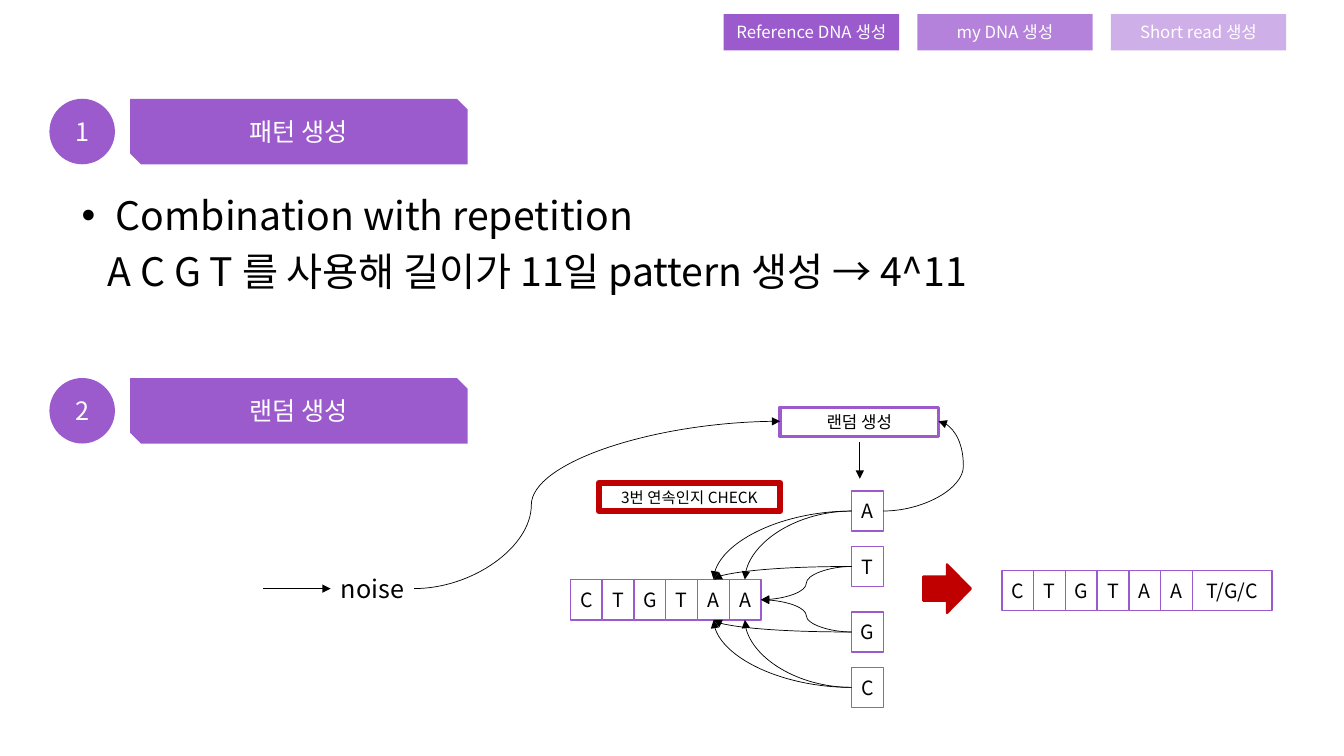
"""Build the slide on pattern generation and random generation of a reference DNA."""
from dataclasses import dataclass
from typing import Any, Optional

import lxml.etree
import pptx
import pptx.dml.color
import pptx.enum.shapes
import pptx.enum.text
import pptx.oxml.ns
import pptx.util

SHAPE = pptx.enum.shapes.MSO_SHAPE
CONNECTOR = pptx.enum.shapes.MSO_CONNECTOR
ALIGN = pptx.enum.text.PP_ALIGN
ANCHOR = pptx.enum.text.MSO_ANCHOR
FONT = "Noto Sans CJK KR"
COLORS = {
    "purple": "9C5BCD",
    "mid": "B482DA",
    "pale": "CFAFE7",
    "red": "C00000",
    "black": "000000",
    "white": "FFFFFF",
}
COLUMNS, ROWS = 133.33, 75
CELL_W, CELL_H = 3.15, 4


@dataclass(frozen=True)
class Block:
    """A shape placed in grid columns and rows, with its text and colours."""

    column: float
    row: float
    width: float
    height: float
    text: str = ""
    size: float = 14
    fill: Optional[str] = None
    line: Optional[str] = None
    weight: float = 1
    ink: str = "black"
    outline: Any = SHAPE.RECTANGLE


@dataclass(frozen=True)
class Flow:
    """An arrow between two grid points; bend sets the middle of an S curve."""

    start: tuple[float, float]
    end: tuple[float, float]
    preset: str = "line"
    bend: Optional[float] = None
    arrow: bool = True


def grid(units: float) -> int:
    """Turn grid units into a slide length."""
    return pptx.util.Inches(units / 10)


def rgb(name: str) -> pptx.dml.color.RGBColor:
    """Look up a colour by name."""
    return pptx.dml.color.RGBColor.from_string(COLORS[name])


def add_node(parent: Any, tag: str, **attributes: str) -> Any:
    """Append a DrawingML element."""
    node = lxml.etree.SubElement(parent, pptx.oxml.ns.qn(tag))
    for key, value in attributes.items():
        node.set(key, value)
    return node


def add_run(paragraph: Any, text: str, size: float, ink: str) -> None:
    """Add a formatted run to a paragraph."""
    run = paragraph.add_run()
    run.text = text
    run.font.size = pptx.util.Pt(size)
    run.font.name = FONT
    run.font.color.rgb = rgb(ink)
    add_node(run.font._element, "a:ea", typeface=FONT)


def draw_block(shapes: Any, block: Block) -> None:
    """Draw one shape with centred text."""
    shape = shapes.add_shape(block.outline, grid(block.column), grid(block.row),
                             grid(block.width), grid(block.height))
    shape.shadow.inherit = False
    if block.fill:
        shape.fill.solid()
        shape.fill.fore_color.rgb = rgb(block.fill)
    else:
        shape.fill.background()
    if block.line:
        shape.line.color.rgb = rgb(block.line)
        shape.line.width = pptx.util.Pt(block.weight)
    else:
        shape.line.fill.background()
    if block.text:
        frame = shape.text_frame
        frame.margin_left = frame.margin_right = frame.margin_top = frame.margin_bottom = 0
        frame.word_wrap = True
        frame.vertical_anchor = ANCHOR.MIDDLE
        frame.paragraphs[0].alignment = ALIGN.CENTER
        add_run(frame.paragraphs[0], block.text, block.size, block.ink)


def draw_flow(shapes: Any, flow: Flow) -> None:
    """Draw one straight or curved arrow."""
    points = [grid(value) for value in (*flow.start, *flow.end)]
    connector = shapes.add_connector(CONNECTOR.STRAIGHT, *points)
    connector.line.color.rgb = rgb("black")
    connector.line.width = pptx.util.Pt(0.5)
    properties = connector._element.spPr
    geometry = properties.find(pptx.oxml.ns.qn("a:prstGeom"))
    geometry.set("prst", flow.preset)
    if flow.bend is not None:
        adjustments = geometry.find(pptx.oxml.ns.qn("a:avLst"))
        add_node(adjustments, "a:gd", name="adj1", fmla=f"val {round(flow.bend * 100000)}")
    add_node(properties.find(pptx.oxml.ns.qn("a:ln")), "a:tailEnd", type="triangle")
    add_node(properties, "a:effectLst")


def draw_section(shapes: Any, row: float, number: str, heading: str) -> None:
    """Draw a numbered section heading as a group."""
    section = shapes.add_group_shape().shapes
    draw_block(section, Block(4.9, row, 6.5, 6.5, number, 18, "purple", ink="white",
                              outline=SHAPE.OVAL))
    draw_block(section, Block(12.9, row, 33.5, 6.5, heading, 18, "purple", ink="white",
                              outline=SHAPE.SNIP_2_DIAG_RECTANGLE))


def draw_sequence(shapes: Any, column: float, row: float, bases: str) -> None:
    """Draw a row of touching base cells."""
    for index, base in enumerate(bases):
        draw_block(shapes, Block(column + index * CELL_W, row, CELL_W, CELL_H, base,
                                 fill="white", line="purple"))


def write_explanation(body: Any) -> None:
    """Place the body placeholder and write its two lines."""
    body.left, body.top, body.width, body.height = (grid(v) for v in (7.1, 19, 111.5, 11))
    frame = body.text_frame
    frame.auto_size = pptx.enum.text.MSO_AUTO_SIZE.NONE
    frame.word_wrap = True
    frame.vertical_anchor = ANCHOR.TOP
    lines = [
        ("Combination with repetition", 3.4, -3.4, "•", 0),
        ("A C G T 를 사용해 길이가 11일 pattern 생성 → 4^11", 2.6, 0, None, 10),
    ]
    for index, (text, margin, indent, bullet, before) in enumerate(lines):
        paragraph = frame.add_paragraph() if index else frame.paragraphs[0]
        properties = paragraph._p.get_or_add_pPr()
        properties.set("marL", str(grid(margin)))
        properties.set("indent", str(grid(indent)))
        if bullet:
            add_node(properties, "a:buFont", typeface="Arial")
            add_node(properties, "a:buChar", char=bullet)
        else:
            add_node(properties, "a:buNone")
        paragraph.line_spacing = 0.9
        paragraph.space_before = pptx.util.Pt(before)
        add_run(paragraph, text, 28, "black")


def main() -> None:
    """Assemble and save the slide."""
    deck = pptx.Presentation()
    deck.slide_width, deck.slide_height = grid(COLUMNS), grid(ROWS)
    slide = deck.slides.add_slide(deck.slide_layouts[1])
    shapes = slide.shapes
    unused_title = shapes.title._element
    unused_title.getparent().remove(unused_title)
    write_explanation(slide.placeholders[1])

    steps = [("Reference DNA 생성", "purple"), ("my DNA 생성", "mid"), ("Short read 생성", "pale")]
    for index, (step, fill) in enumerate(steps):
        draw_block(shapes, Block(71.8 + 19.2 * index, 1.4, 17.4, 3.6, step, 12, fill, ink="white"))
    draw_section(shapes, 9.8, "1", "패턴 생성")
    draw_section(shapes, 37.5, "2", "랜덤 생성")

    draw_sequence(shapes, 56.6, 57.5, "CTGTAA")
    draw_sequence(shapes, 99.4, 56.6, "CTGTAA")
    fifth_top, sixth_top = (70.8, 57.5), (73.9, 57.5)
    fifth_bottom, sixth_bottom = (70.8, 61.5), (73.9, 61.5)
    sequence_end = (75.5, 59.5)
    candidates = [
        ("A", 48.7, (fifth_top, sixth_top)),
        ("T", 54.2, (sequence_end, fifth_top)),
        ("G", 60.7, (sequence_end, fifth_bottom)),
        ("C", 66.2, (sixth_bottom, fifth_bottom)),
    ]
    for base, row, targets in candidates:
        draw_block(shapes, Block(84.5, row, CELL_W, CELL_H, base, fill="white", line="purple"))
        for target in targets:
            sideways = target == sequence_end
            draw_flow(shapes, Flow((84.5, row + CELL_H / 2), target,
                                   "curvedConnector3" if sideways else "curvedConnector2",
                                   0.5 if sideways else None))

    for block in (
        Block(118.3, 56.6, 7.9, CELL_H, "T/G/C", fill="white", line="purple"),
        Block(91.6, 56, 4.7, 4.8, fill="red", line="red", weight=1.75, outline=SHAPE.RIGHT_ARROW),
        Block(77.4, 40.4, 15.7, 2.9, "랜덤 생성", 12, line="purple", weight=2.5),
        Block(59.4, 47.9, 18, 2.8, "3번 연속인지 CHECK", 11, line="red", weight=4.5),
        Block(32.8, 56.4, 8.3, 4, "noise", 18),
    ):
        draw_block(shapes, block)
    for flow in (
        Flow((85.3, 43.9), (85.3, 47.5)),
        Flow((87.6, 50.7), (93.1, 41.8), "curvedConnector3", 1.45),
        Flow((26.1, 58.4), (32.8, 58.4)),
        Flow((41.1, 58.4), (77.4, 41.8), "curvedConnector3", 0.32),
    ):
        draw_flow(shapes, flow)
    deck.save("out.pptx")


if __name__ == "__main__":
    main()
